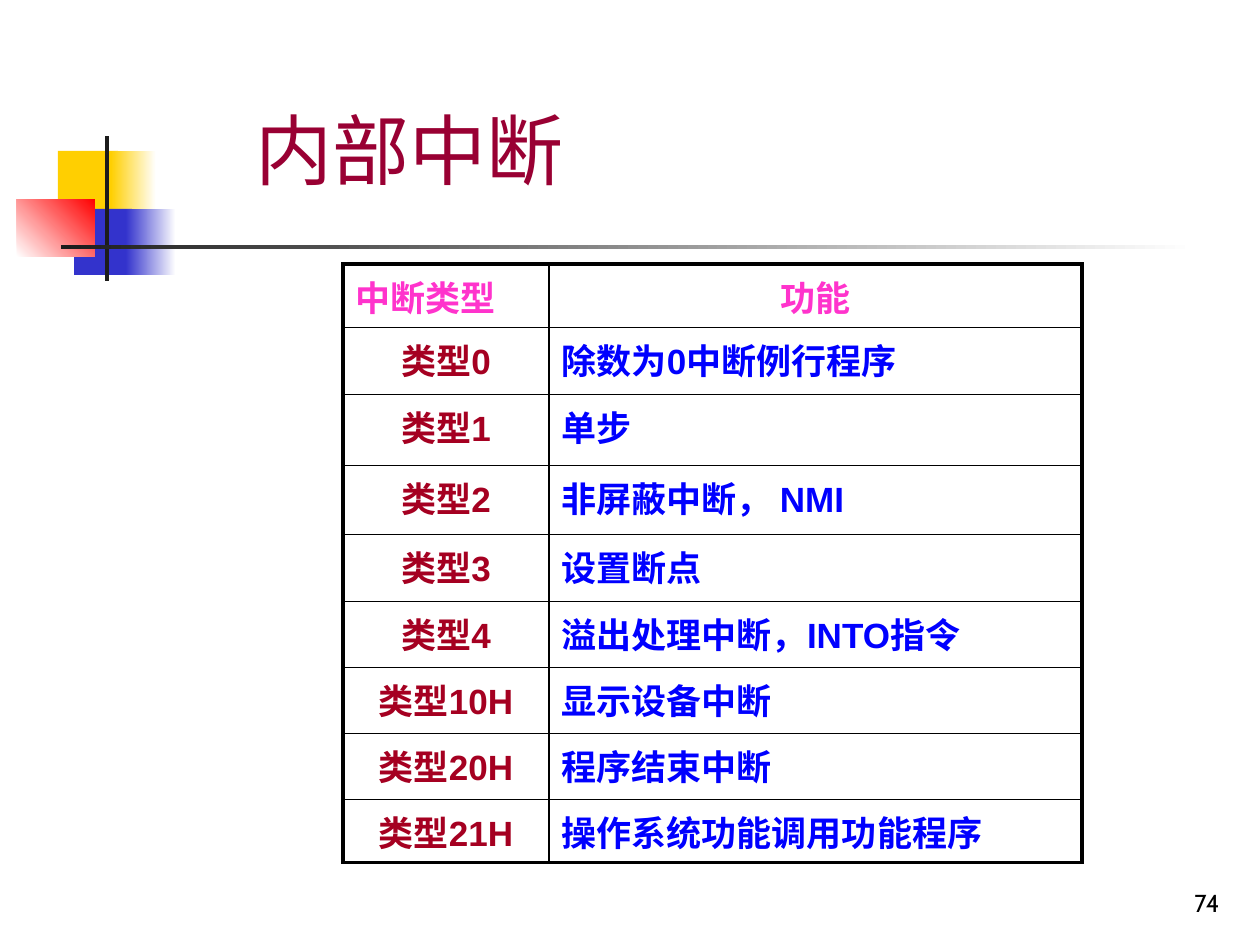
import pptx
import pptx.util
import pptx.dml.color
import pptx.enum.shapes
import pptx.enum.text
import pptx.oxml
import pptx.oxml.ns

SCALE = 914400 / 126  # EMU per px
ALIGN = pptx.enum.text.PP_ALIGN
ANCHOR = pptx.enum.text.MSO_ANCHOR
COLORS = {
    "gold": "FFCF01", "blue": "3333CC", "red": "FF0000", "white": "FFFFFF",
    "dark": "1C1C1C", "black": "000000", "wine": "990033",
    "pink": "FF33CC", "type": "A50021", "text": "0000FF",
}
THIN, THICK = 1, 2.25


def emu(px):
    return pptx.util.Emu(round(px * SCALE))


def rgb(name):
    return pptx.dml.color.RGBColor.from_string(COLORS[name])


class Deck:
    def __init__(self, wide, high):
        self.prs = pptx.Presentation()
        self.prs.slide_width, self.prs.slide_height = emu(wide), emu(high)
        self.slide = self.prs.slides.add_slide(self.prs.slide_layouts[6])

    def style(self, para, text, size, font, color, align=ALIGN.LEFT, bold=False):
        para.text = text
        para.alignment = align
        para.font.size = pptx.util.Pt(size)
        para.font.name = font
        para.font.bold = bold
        para.font.color.rgb = rgb(color)

    def rect(self, box, color, fade=None, angle=0):
        kind = pptx.enum.shapes.MSO_SHAPE.RECTANGLE
        shape = self.slide.shapes.add_shape(kind, *map(emu, box))
        shape.shadow.inherit = False
        shape.line.fill.background()
        if fade is None:
            shape.fill.solid()
            shape.fill.fore_color.rgb = rgb(color)
            return
        shape.fill.gradient()
        shape.fill.gradient_angle = angle
        for stop, name in zip(shape.fill.gradient_stops, (color, fade)):
            stop.color.rgb = rgb(name)

    def label(self, box, text, size, color, align=ALIGN.LEFT, anchor=ANCHOR.TOP):
        frame = self.slide.shapes.add_textbox(*map(emu, box)).text_frame
        frame.word_wrap = True
        frame.vertical_anchor = anchor
        self.style(frame.paragraphs[0], text, size, "Cabin", color, align)

    def border(self, cell, widths):
        props = cell._tc.get_or_add_tcPr()
        space = pptx.oxml.ns.nsdecls("a")
        for place, (side, width) in enumerate(widths.items()):
            line = pptx.oxml.parse_xml(
                f'<a:ln{side} {space} w="{int(width * 12700)}"><a:solidFill>'
                f'<a:srgbClr val="{COLORS["black"]}"/></a:solidFill></a:ln{side}>')
            props.insert(place, line)

    def table(self, left, top, cols, rows, data):
        box = map(emu, (left, top, sum(cols), sum(rows)))
        table = self.slide.shapes.add_table(len(rows), len(cols), *box).table
        table.first_row = table.horz_banding = False
        for col, width in zip(table.columns, cols):
            col.width = emu(width)
        for row, height in zip(table.rows, rows):
            row.height = emu(height)
        for r, line in enumerate(data):
            for c, text in enumerate(line):
                cell = table.cell(r, c)
                cell.fill.background()
                # Type names and the right heading are centred
                align = ALIGN.CENTER if (r == 0) == (c == 1) else ALIGN.LEFT
                color = "pink" if r == 0 else ("type", "text")[c]
                para = cell.text_frame.paragraphs[0]
                self.style(para, text, 20, "Arial", color, align, True)
                para.space_before = pptx.util.Pt(4)
                # Thick outer frame, thin inner lines
                edges = {"L": c == 0, "R": c == len(cols) - 1,
                         "T": r == 0, "B": r == len(rows) - 1}
                self.border(cell, {side: THICK if outer else THIN
                                   for side, outer in edges.items()})


def main():
    deck = Deck(1260, 945)

    # Corner ornament and rule
    deck.rect((58, 151, 60, 66), "gold")
    deck.rect((111, 151, 45, 66), "gold", "white")
    deck.rect((74, 209, 58, 66), "blue")
    deck.rect((126, 209, 50, 66), "blue", "white")
    deck.rect((17, 199, 78, 58), "white", "red", 45)
    deck.rect((105, 136, 4, 145), "dark")
    deck.rect((61, 245, 1134, 4), "dark", "white")

    # Interrupt table
    deck.table(343, 264, (206, 533), (59, 67, 71, 69, 67, 66, 66, 66, 55), [
        ("中断类型", "功能"),
        ("类型0", "除数为0中断例行程序"),
        ("类型1", "单步"),
        ("类型2", "非屏蔽中断， NMI"),
        ("类型3", "设置断点"),
        ("类型4", "溢出处理中断，INTO指令"),
        ("类型10H", "显示设备中断"),
        ("类型20H", "程序结束中断"),
        ("类型21H", "操作系统功能调用功能程序"),
    ])

    # Title and page number
    deck.label((243, 96, 1074, 202), "内部中断", 44, "wine")
    deck.label((970, 861, 262, 63), "74", 14, "black", ALIGN.RIGHT, ANCHOR.BOTTOM)

    deck.prs.save("out.pptx")


if __name__ == "__main__":
    main()
